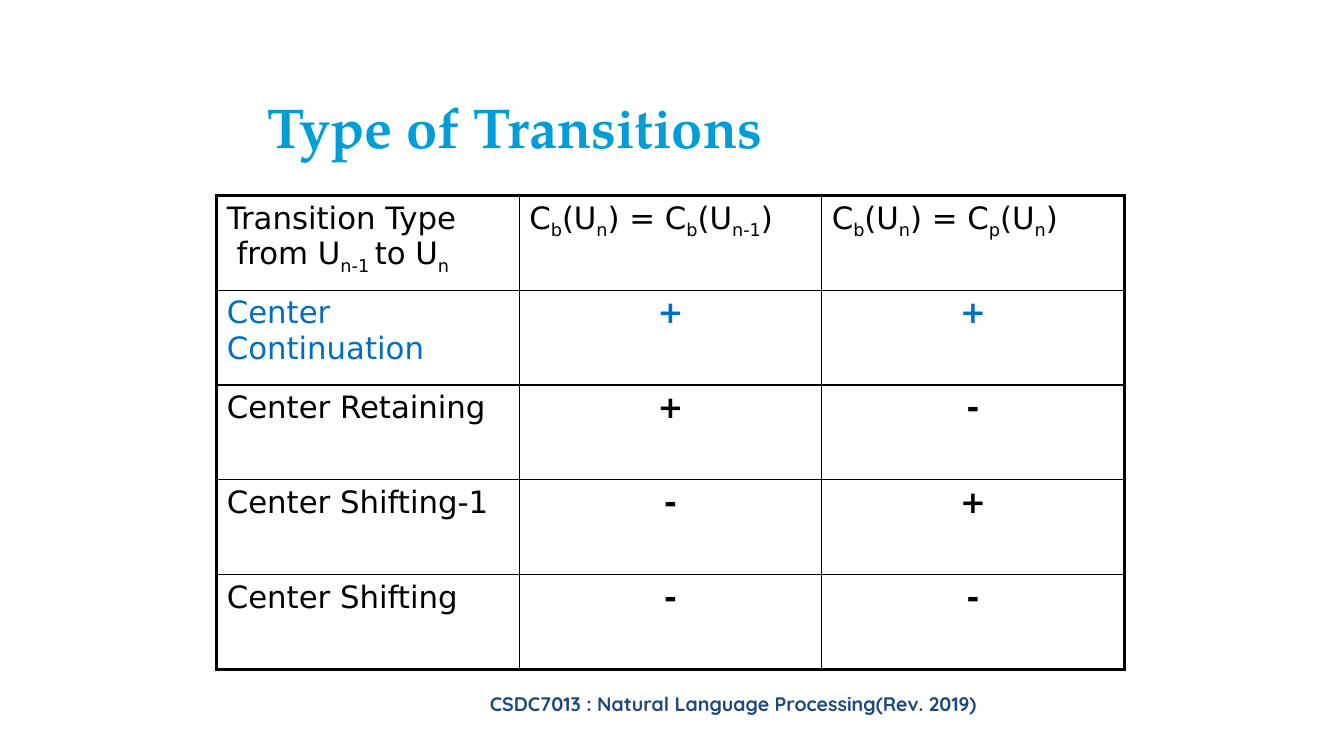
from lxml import etree
from pptx import Presentation
from pptx.dml.color import RGBColor
from pptx.enum import text
from pptx.util import Inches, Pt

BLACK, BLUE = "000000", "006FC0"
THIN, THICK = 1, 2.25
NS = "http://schemas.openxmlformats.org/drawingml/2006/main"

# Within a line, every second part between bars is a subscript.
HEAD = [
    ["Transition Type", " from U|n-1 |to U|n"],
    ["C|b|(U|n|) = C|b|(U|n-1|)"],
    ["C|b|(U|n|) = C|p|(U|n|)"],
]
KINDS = [
    (["Center", "Continuation"], "+", "+", BLUE),
    (["Center Retaining"], "+", "-", BLACK),
    (["Center Shifting-1"], "-", "+", BLACK),
    (["Center Shifting"], "-", "-", BLACK),
]


def rgb(code):
    return RGBColor.from_string(code)


def add_run(para, words, size, face, color, bold=False):
    run = para.add_run()
    run.text = words
    font = run.font
    font.size, font.name, font.bold = Pt(size), face, bold
    font.color.rgb = rgb(color)
    return run


def add_label(slide, box, words, size, face, color, align, inset=0):
    frame = slide.shapes.add_textbox(*map(Inches, box)).text_frame
    frame.word_wrap = True
    frame.margin_left = frame.margin_right = Inches(inset)
    frame.margin_top = frame.margin_bottom = Inches(inset)
    para = frame.paragraphs[0]
    para.alignment = align
    add_run(para, words, size, face, color, True)


def draw_edges(cell, widths):
    """Draw the left, right, top and bottom borders, in that order."""
    props = cell._tc.get_or_add_tcPr()
    for side, width in zip("LRTB", widths):
        line = etree.SubElement(props, f"{{{NS}}}ln{side}", w=str(Pt(width)))
        fill = etree.SubElement(line, f"{{{NS}}}solidFill")
        etree.SubElement(fill, f"{{{NS}}}srgbClr", val=BLACK)


def fill_cell(cell, lines, color, mark):
    """Write the lines; a mark is bold and centred."""
    cell.margin_left = Inches(0 if mark else 0.1)
    cell.margin_right = cell.margin_bottom = 0
    cell.margin_top = Inches(0.05)
    para = cell.text_frame.paragraphs[0]
    para.alignment = text.PP_ALIGN.CENTER if mark else text.PP_ALIGN.LEFT
    for row, line in enumerate(lines):
        if row:
            para.add_line_break()
        for spot, part in enumerate(line.split("|")):
            if not part:
                continue
            low = spot % 2
            run = add_run(para, part, 21.8 if low else 22, "DejaVu Sans", color, mark)
            if low:
                run.font._element.set("baseline", "-25000")


def add_grid(slide, box):
    rows = [(HEAD, BLACK)]
    rows += [([name, [same], [pref]], color) for name, same, pref, color in KINDS]
    last, end = len(rows) - 1, len(HEAD) - 1
    table = slide.shapes.add_table(len(rows), len(HEAD), *map(Inches, box)).table
    table.first_row = table.horz_banding = False
    for r, (cells, color) in enumerate(rows):
        for c, lines in enumerate(cells):
            cell = table.cell(r, c)
            fill_cell(cell, lines, color, r > 0 and c > 0)
            outer = (c == 0, c == end, r == 0, r == last)
            draw_edges(cell, [THICK if out else THIN for out in outer])
            cell.fill.background()


def main():
    deck = Presentation()
    deck.slide_width, deck.slide_height = Inches(13.33), Inches(7.5)
    slide = deck.slides.add_slide(deck.slide_layouts[6])
    add_label(slide, (2.15, 6.76, 10.25, 0.59),
              "CSDC7013 : Natural Language Processing(Rev. 2019)",
              14, "Quicksand", "1F497D", text.PP_ALIGN.CENTER, 0.1)
    add_label(slide, (2.65, 0.92, 10.41, 0.68), "Type of Transitions",
              40, "TeX Gyre Pagella", "009DD9", text.PP_ALIGN.LEFT)
    add_grid(slide, (2.15, 1.94, 9, 4.7))
    deck.save("out.pptx")


if __name__ == "__main__":
    main()
